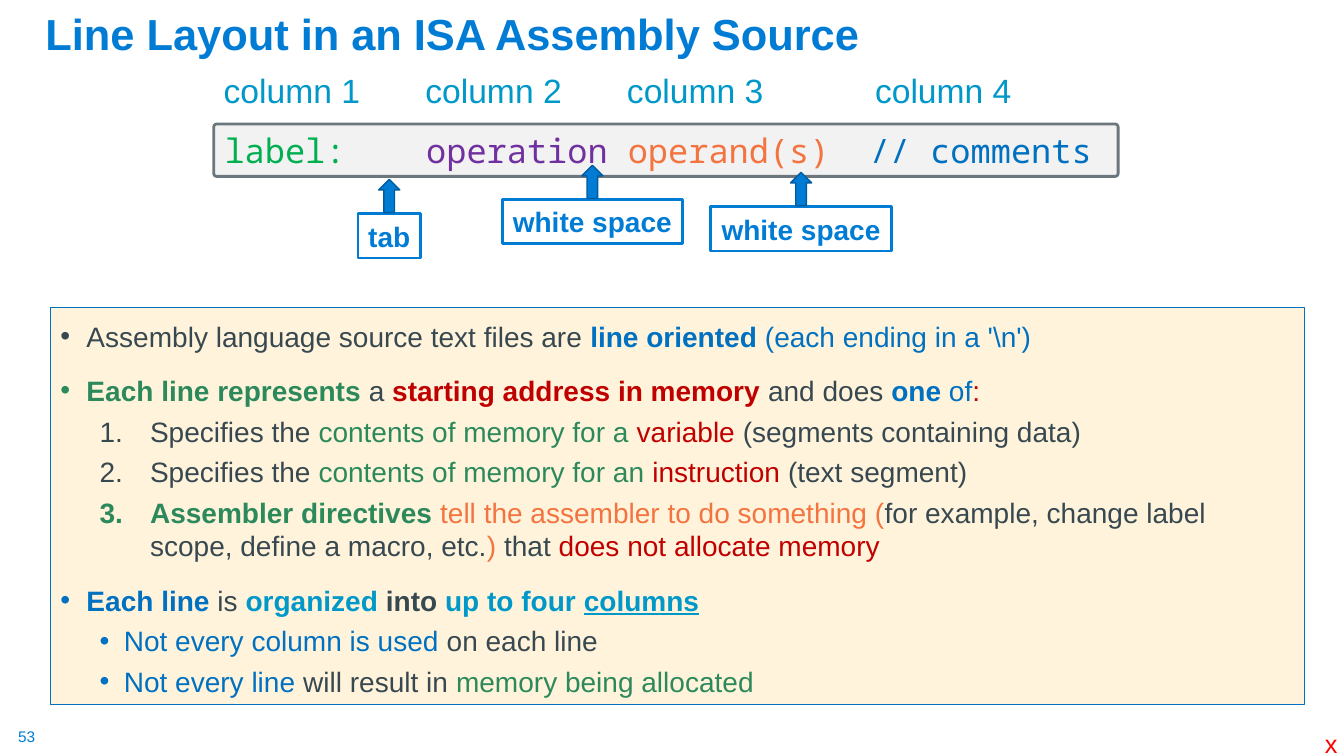
from lxml import etree
from pptx import Presentation
from pptx.dml.color import RGBColor
from pptx.enum import shapes, text
from pptx.oxml import ns
from pptx.util import Inches, Pt

COLORS = {
    "blue": "007CD5", "edge": "005C9E", "navy": "0070C0", "cyan": "0098C9",
    "dark": "384851", "green": "2C895B", "red": "C00000", "orange": "F37440",
    "lime": "00B050", "purple": "7030A0", "cream": "FFF4DB",
    "light": "F2F2F2", "gray": "6B767D", "mark": "FF0000",
}
SHAPE = shapes.MSO_SHAPE
LEFT, CENTER = text.PP_ALIGN.LEFT, text.PP_ALIGN.CENTER

# Paragraph levels: left margin, hanging indent, space before, line spacing, bullet
POINT = (0.26, 0.26, 10, 1.2, "•")
STEP = (0.89, 0.5, 5, 1.0, None)
SUBPOINT = (0.63, 0.24, 5, 1.0, "•")

# Runs: text, colour, optional style letters (b bold, u underline)
BODY = [
    (POINT, [("Assembly language source text files are ", "dark"),
             ("line oriented", "navy", "b"),
             (" (each ending in a '\\n')", "navy")]),
    (POINT, [("Each line represents ", "green", "b"), ("a ", "dark"),
             ("starting address in memory ", "red", "b"),
             ("and does ", "dark"), ("one", "navy", "b"),
             (" of", "navy"), (":", "red")]),
    (STEP, [("Specifies the ", "dark"), ("contents of memory for a ", "green"),
            ("variable ", "red"), ("(segments containing data)", "dark")]),
    (STEP, [("Specifies the ", "dark"), ("contents of memory for an ", "green"),
            ("instruction ", "red"), ("(text segment)", "dark")]),
    (STEP, [("Assembler directives ", "green", "b"),
            ("tell the assembler to do something (", "orange"),
            ("for example, change label scope, define a macro, etc.", "dark"),
            (") ", "orange"), ("that ", "dark"),
            ("does not allocate memory", "red")]),
    (POINT, [("Each line ", "navy", "b"), ("is ", "dark"),
             ("organized ", "cyan", "b"), ("into", "dark", "b"),
             (" up to four ", "cyan", "b"), ("columns", "cyan", "bu")]),
    (SUBPOINT, [("Not every column is used ", "navy"),
                ("on each line", "dark")]),
    (SUBPOINT, [("Not every line ", "navy"), ("will result in ", "dark"),
                ("memory being allocated", "green")]),
]
CODE = [("label:    ", "lime"), ("operation ", "purple"),
        ("operand(s)  ", "orange"), ("// comments", "navy")]


def rgb(name):
    return RGBColor.from_string(COLORS[name])


def add_runs(p, runs, size, font="Arial"):
    for content, color, *style in runs:
        letters = "".join(style)
        r = p.add_run()
        r.text = content
        r.font.size, r.font.name = Pt(size), font
        r.font.color.rgb = rgb(color)
        r.font.bold = "b" in letters
        r.font.underline = "u" in letters


def add_box(s, kind, at, fill, line, width):
    sp = s.shapes.add_shape(kind, *map(Inches, at))
    sp.shadow.inherit = False
    if fill:
        sp.fill.solid()
        sp.fill.fore_color.rgb = rgb(fill)
    else:
        sp.fill.background()
    sp.line.color.rgb = rgb(line)
    sp.line.width = Pt(width)
    return sp


def add_label(s, at, runs, size, inset=0.0):
    tf = s.shapes.add_textbox(*map(Inches, at)).text_frame
    tf.margin_left = tf.margin_right = Inches(inset)
    tf.margin_top = tf.margin_bottom = Inches(inset / 2)
    tf.word_wrap = False
    add_runs(tf.paragraphs[0], runs, size)
    return tf.paragraphs[0]


def add_tabs(p, stops):
    tabs = etree.SubElement(p._p.get_or_add_pPr(), ns.qn("a:tabLst"))
    for stop in stops:
        etree.SubElement(tabs, ns.qn("a:tab"), pos=str(Inches(stop)), algn="l")


def set_level(p, level, first):
    margin, hang, before, spacing, bullet = level
    pPr = p._p.get_or_add_pPr()
    pPr.set("marL", str(Inches(margin)))
    pPr.set("indent", str(-Inches(hang)))
    if bullet:
        etree.SubElement(pPr, ns.qn("a:buFont"), typeface="Arial")
        etree.SubElement(pPr, ns.qn("a:buChar"), char=bullet)
    else:
        etree.SubElement(pPr, ns.qn("a:buAutoNum"), type="arabicPeriod")
    p.alignment = LEFT
    p.line_spacing = spacing
    if not first:
        p.space_before = Pt(before)


def add_title(s, content):
    sp = s.shapes.title
    sp.left, sp.top, sp.width, sp.height = map(Inches, (0.35, 0.16, 12.75, 0.48))
    tf = sp.text_frame
    tf.vertical_anchor = text.MSO_ANCHOR.BOTTOM
    tf.word_wrap = True
    p = tf.paragraphs[0]
    p.alignment, p.line_spacing = LEFT, 0.9
    add_runs(p, [(content, "blue", "b")], 31)


def add_body(s):
    sp = add_box(s, SHAPE.RECTANGLE, (0.5, 3.05, 12.44, 3.94), "cream", "navy", 0.75)
    tf = sp.text_frame
    tf.word_wrap = True
    tf.vertical_anchor = text.MSO_ANCHOR.TOP
    for i, (level, runs) in enumerate(BODY):
        p = tf.add_paragraph() if i else tf.paragraphs[0]
        set_level(p, level, i == 0)
        add_runs(p, runs, 20)


def add_code_line(s):
    sp = add_box(s, SHAPE.ROUNDED_RECTANGLE, (2.12, 1.23, 8.97, 0.52), "light", "gray", 2)
    sp.adjustments[0] = 0.057
    p = sp.text_frame.paragraphs[0]
    p.alignment = LEFT
    add_runs(p, CODE, 24, "Noto Sans Mono")


def add_callout(s, content, left, top, width):
    """A framed tag with an arrow rising from the middle of its top edge."""
    sp = add_box(s, SHAPE.RECTANGLE, (left, top, width, 0.44), None, "blue", 2)
    sp.text_frame.word_wrap = False
    p = sp.text_frame.paragraphs[0]
    p.alignment = CENTER
    add_runs(p, [(content, "blue", "b")], 20)
    arrow_left = left + (width - 0.21) / 2
    add_box(s, SHAPE.UP_ARROW, (arrow_left, top - 0.34, 0.21, 0.33), "blue", "edge", 1)


def main():
    prs = Presentation()
    prs.slide_width, prs.slide_height = Inches(13.33), Inches(7.5)
    s = prs.slides.add_slide(prs.slide_layouts[5])

    add_title(s, "Line Layout in an ISA Assembly Source")
    add_body(s)

    # Sample source line with column heads and separators
    add_code_line(s)
    heads = "\t".join(f"column {n}" for n in range(1, 5))
    p = add_label(s, (2.12, 0.64, 8.09, 0.5), [(heads, "cyan")], 24, 0.1)
    add_tabs(p, (2, 4, 6.46))
    add_callout(s, "tab", 3.55, 2.12, 0.62)
    add_callout(s, "white space", 4.98, 1.98, 1.79)
    add_callout(s, "white space", 7.05, 2.05, 1.79)

    # Page number and corner mark
    add_label(s, (0.18, 7.21, 0.19, 0.19), [("53", "blue")], 11)
    add_label(s, (13.14, 7.23, 0.13, 0.27), [("x", "mark")], 18)
    prs.save("out.pptx")


if __name__ == "__main__":
    main()
